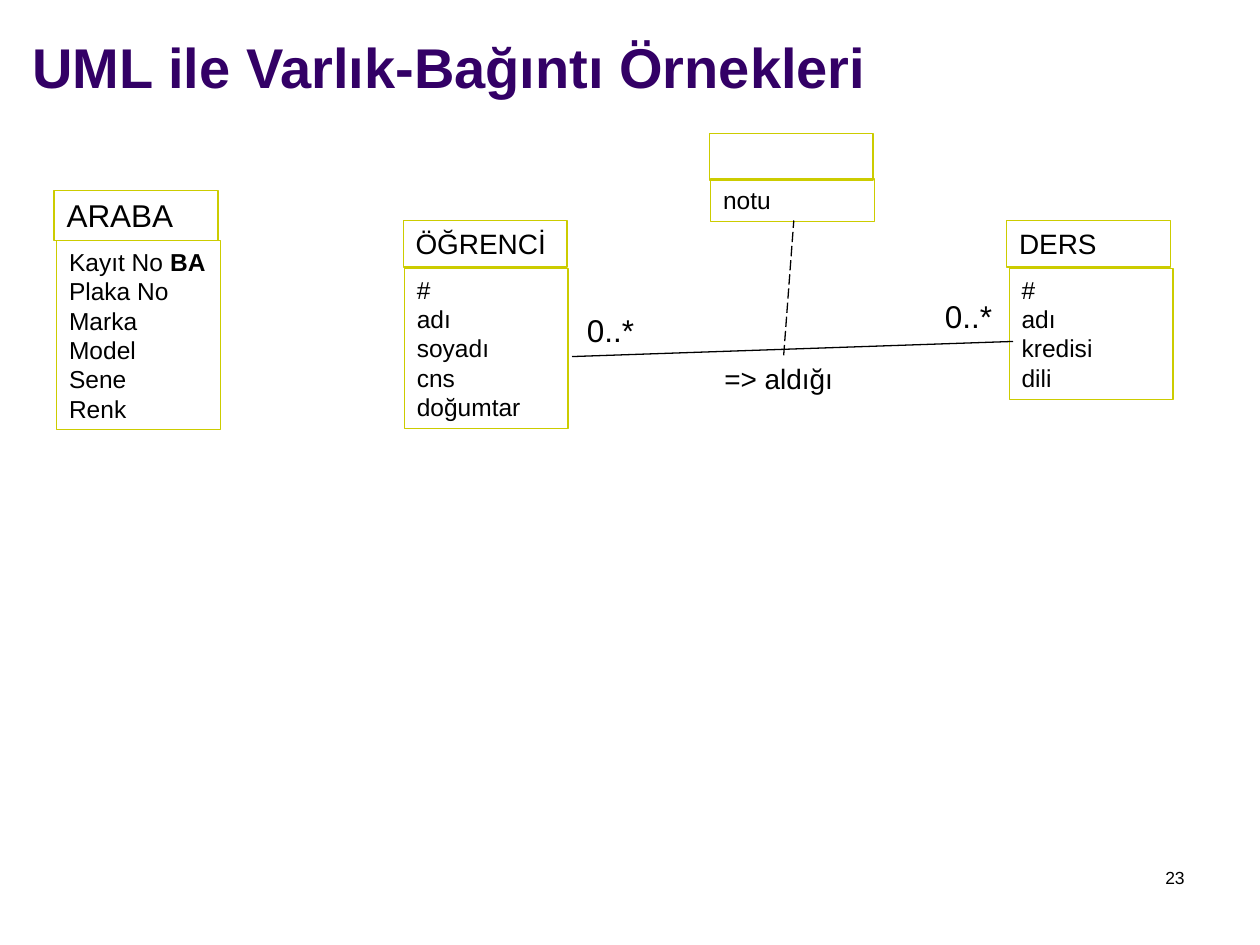
from dataclasses import dataclass

from pptx import Presentation
from pptx.dml.color import RGBColor
from pptx.enum.dml import MSO_LINE
from pptx.enum.shapes import MSO_CONNECTOR, MSO_SHAPE
from pptx.enum.text import MSO_ANCHOR, PP_ALIGN
from pptx.oxml.ns import qn
from pptx.shapes.base import BaseShape
from pptx.slide import Slide
from pptx.util import Inches, Pt

RECTANGLE = MSO_SHAPE.RECTANGLE
STRAIGHT = MSO_CONNECTOR.STRAIGHT
LONG_DASH = MSO_LINE.LONG_DASH
TOP, BOTTOM = MSO_ANCHOR.TOP, MSO_ANCHOR.BOTTOM
LEFT, RIGHT = PP_ALIGN.LEFT, PP_ALIGN.RIGHT

COLORS = {"title": "330066", "text": "000000", "border": "CCCC00"}
FONT_NAME = "Arial"
ENTITY_WIDTH = 1.3
ATTRIBUTE_SIZE = 14


@dataclass
class Span:
    text: str
    bold: bool = False


@dataclass
class Label:
    text: str
    at: tuple[float, float, float, float]
    size: int
    color: str = "text"
    bold: bool = False
    align: PP_ALIGN = LEFT
    anchor: MSO_ANCHOR = TOP


@dataclass
class Entity:
    name: str
    name_size: int
    left: float
    top: float
    name_height: float
    attributes_left: float
    attributes_top: float
    attributes_height: float
    attributes: list[list[Span]]


@dataclass
class Link:
    start: tuple[float, float]
    end: tuple[float, float]
    dash: MSO_LINE | None = None


def plain(*names: str) -> list[list[Span]]:
    return [[Span(name)] for name in names]


LABELS = [
    Label("UML ile Varlık-Bağıntı Örnekleri", (0.16, 0.28, 9.73, 0.56), 32,
          color="title", bold=True, anchor=BOTTOM),
    Label("23", (8.65, 6.83, 0.85, 0.5), 10, align=RIGHT),
    Label("0..*", (4.56, 2.42, 0.59, 0.4), 18),
    Label("0..*", (7.4, 2.31, 0.59, 0.4), 18),
    Label("=> aldığı", (5.65, 2.82, 1.14, 0.37), 16),
]

ENTITIES = [
    Entity("ARABA", 18, 0.43, 1.51, 0.4, 0.45, 1.91, 1.5,
           [[Span("Kayıt No "), Span("BA", bold=True)],
            *plain("Plaka No", "Marka", "Model", "Sene", "Renk")]),
    Entity("ÖĞRENCİ", 16, 3.2, 1.75, 0.37, 3.21, 2.13, 1.27,
           plain("#", "adı", "soyadı", "cns", "doğumtar")),
    Entity("DERS", 16, 7.99, 1.75, 0.37, 8.01, 2.13, 1.04,
           plain("#", "adı", "kredisi", "dili")),
    Entity("", 16, 5.63, 1.06, 0.37, 5.64, 1.42, 0.34, plain("notu")),
]

LINKS = [
    Link((4.54, 2.83), (8.04, 2.71)),
    Link((6.22, 2.82), (6.3, 1.75), LONG_DASH),
]


def color(name: str) -> RGBColor:
    return RGBColor.from_string(COLORS[name])


def write(box: BaseShape, lines: list[list[Span]], size: int,
          color_name: str = "text", align: PP_ALIGN = LEFT,
          anchor: MSO_ANCHOR = TOP) -> None:
    frame = box.text_frame
    frame.word_wrap = True
    frame.vertical_anchor = anchor
    for index, spans in enumerate(lines):
        para = frame.add_paragraph() if index else frame.paragraphs[0]
        para.alignment = align
        for span in spans:
            run = para.add_run()
            run.text = span.text
            formats = {"name": FONT_NAME, "size": Pt(size), "bold": span.bold}
            for attribute, value in formats.items():
                setattr(run.font, attribute, value)
            run.font.color.rgb = color(color_name)


def draw_label(slide: Slide, label: Label) -> None:
    box = slide.shapes.add_textbox(*map(Inches, label.at))
    write(box, [[Span(label.text, label.bold)]], label.size,
          label.color, label.align, label.anchor)


def draw_entity(slide: Slide, entity: Entity) -> None:
    group = slide.shapes.add_group_shape()
    name_lines = plain(entity.name) if entity.name else []
    compartments = [
        (entity.left, entity.top, entity.name_height,
         name_lines, entity.name_size),
        (entity.attributes_left, entity.attributes_top,
         entity.attributes_height, entity.attributes, ATTRIBUTE_SIZE),
    ]
    for left, top, height, lines, size in compartments:
        box = group.shapes.add_shape(
            RECTANGLE, *map(Inches, (left, top, ENTITY_WIDTH, height)))
        box.shadow.inherit = False
        box.fill.background()
        box.line.color.rgb = color("border")
        box.line.width = Pt(0.75)
        write(box, lines, size)


def draw_link(slide: Slide, link: Link) -> None:
    connector = slide.shapes.add_connector(
        STRAIGHT, *map(Inches, (*link.start, *link.end)))
    connector.line.color.rgb = color("text")
    connector.line.width = Pt(0.75)
    if link.dash is not None:
        connector.line.dash_style = link.dash
    properties = connector._element.spPr
    properties.append(properties.makeelement(qn("a:effectLst"), {}))


def main() -> None:
    deck = Presentation()
    deck.slide_width, deck.slide_height = Inches(10), Inches(7.5)
    slide = deck.slides.add_slide(deck.slide_layouts[6])
    for label in LABELS:
        draw_label(slide, label)
    for entity in ENTITIES:
        draw_entity(slide, entity)
    for link in LINKS:
        draw_link(slide, link)
    deck.save("out.pptx")


if __name__ == "__main__":
    main()
